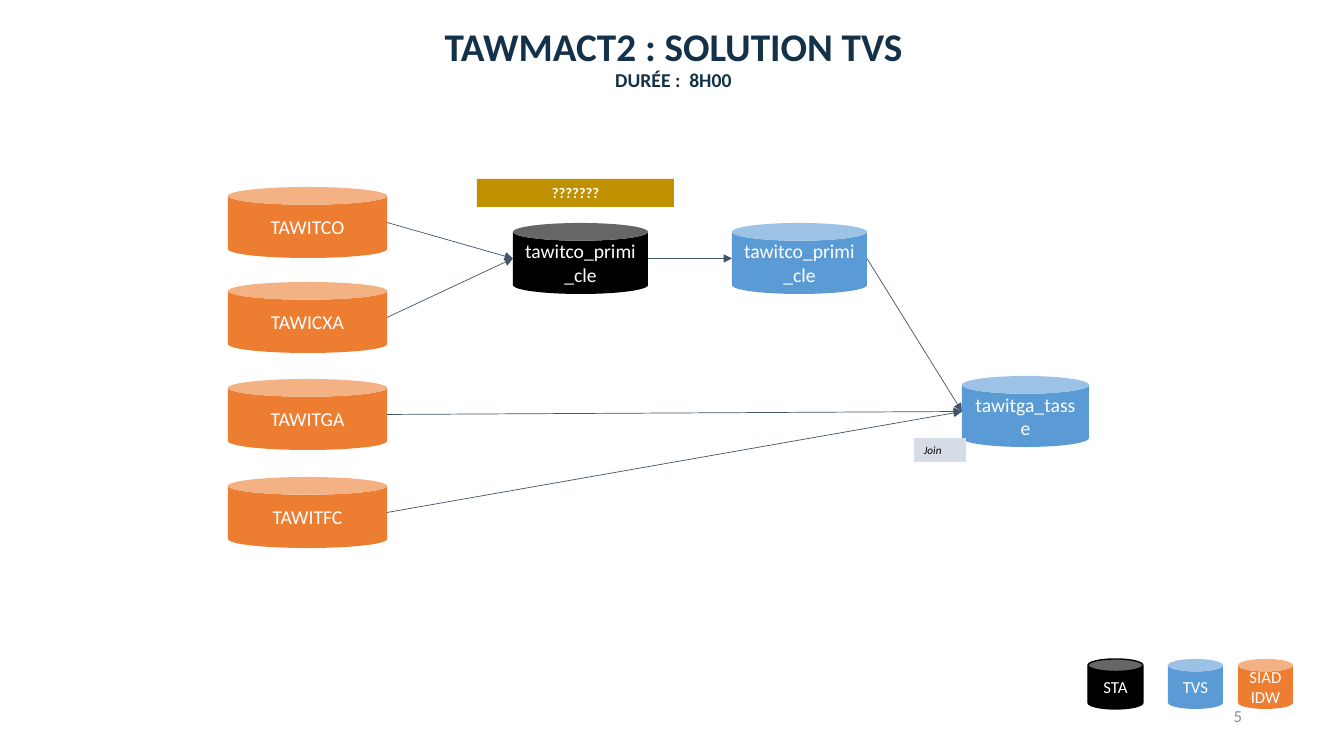
import pptx
import pptx.util
import pptx.dml.color
import pptx.enum.shapes
import pptx.enum.text
import pptx.oxml
import pptx.oxml.ns

Pt = pptx.util.Pt
RGBColor = pptx.dml.color.RGBColor
SHAPES = pptx.enum.shapes.MSO_SHAPE
ALIGN = pptx.enum.text.PP_ALIGN
ANCHOR = pptx.enum.text.MSO_ANCHOR
AUTO_SIZE = pptx.enum.text.MSO_AUTO_SIZE

NAVY = RGBColor(0x13, 0x32, 0x4A)
GREY = RGBColor(0x8C, 0x8C, 0x8C)
SLATE = RGBColor(0x44, 0x54, 0x6A)
ORANGE = RGBColor(0xED, 0x7D, 0x31)
BLUE = RGBColor(0x5B, 0x9B, 0xD5)
GOLD = RGBColor(0xBF, 0x90, 0x00)
PALE = RGBColor(0xD6, 0xDC, 0xE5)
BLACK = RGBColor(0, 0, 0)
WHITE = RGBColor(0xFF, 0xFF, 0xFF)

PX = 12192000 / 1344


def px(*lengths):
    return [round(length * PX) for length in lengths]


def write(frame, text, color, align, anchor=ANCHOR.TOP, **font):
    frame.word_wrap = True
    frame.vertical_anchor = anchor
    frame.text = text
    paragraph = frame.paragraphs[0]
    paragraph.alignment = align
    for run in paragraph.runs:
        run.font.color.rgb = color
        for name, value in {"name": "Calibri", **font}.items():
            setattr(run.font, name, value)


deck = pptx.Presentation()
deck.slide_width, deck.slide_height = px(1344, 756)
slide = deck.slides.add_slide(deck.slide_layouts[5])

heading = slide.shapes.title
heading.left, heading.top, heading.width, heading.height = px(179, 23, 989, 52)
write(heading.text_frame, "TAWMACT2 : SOLUTION TVS\vDURÉE :  8H00", NAVY, ALIGN.CENTER, bold=True)
heading.text_frame.auto_size = AUTO_SIZE.NONE
heading_line = heading.text_frame.paragraphs[0]
heading_line.line_spacing = 0.9
for run, size in zip(heading_line.runs, (28, 14)):
    run.font.size = Pt(size)

page_number = slide.shapes.add_textbox(*px(950, 701, 302, 40))
write(page_number.text_frame, "5", GREY, ALIGN.RIGHT, size=Pt(12))

TABLES = {
    "TAWITCO": ("TAWITCO", 228, 187, 159, ORANGE),
    "TAWICXA": ("TAWICXA", 228, 282, 159, ORANGE),
    "TAWITGA": ("TAWITGA", 228, 379, 159, ORANGE),
    "TAWITFC": ("TAWITFC", 228, 477, 159, ORANGE),
    "extract": ("tawitco_primi_cle", 513, 223, 135, BLACK),
    "load": ("tawitco_primi_cle", 732, 223, 135, BLUE),
    "result": ("tawitga_tasse", 962, 376, 127, BLUE),
}
TABLE_HEIGHT = 71
LEGEND = [("STA", 1088, BLACK), ("TVS", 1168, BLUE), ("SIAD\vIDW", 1238, ORANGE)]

cans = [(text, left, top, width, TABLE_HEIGHT, color, 14) for text, left, top, width, color in TABLES.values()]
cans += [(text, left, 659, 55, 50, color, 12) for text, left, color in LEGEND]
for text, left, top, width, height, color, size in cans:
    can = slide.shapes.add_shape(SHAPES.CAN, *px(left, top, width, height))
    can.shadow.inherit = False
    can.fill.solid()
    can.fill.fore_color.rgb = color
    can.line.fill.background()
    if text == "STA":
        can.line.color.rgb = BLACK
        can.line.width = Pt(1)
    write(can.text_frame, text, WHITE, ALIGN.CENTER, ANCHOR.MIDDLE, size=Pt(size))

FLOWS = [
    ("TAWITCO", "extract"),
    ("TAWICXA", "extract"),
    ("extract", "load"),
    ("load", "result"),
    ("TAWITGA", "result"),
    ("TAWITFC", "result"),
]
for source, target in FLOWS:
    _, source_left, source_top, source_width, _ = TABLES[source]
    _, target_left, target_top, _, _ = TABLES[target]
    flow = slide.shapes.add_connector(
        pptx.enum.shapes.MSO_CONNECTOR.STRAIGHT,
        *px(source_left + source_width, source_top + TABLE_HEIGHT / 2,
            target_left, target_top + TABLE_HEIGHT / 2))
    flow.line.color.rgb = SLATE
    flow.line.width = Pt(0.5)
    arrowhead = pptx.oxml.parse_xml(f'<a:tailEnd {pptx.oxml.ns.nsdecls("a")} type="triangle"/>')
    flow.line._get_or_add_ln().append(arrowhead)
    no_effect = pptx.oxml.parse_xml(f'<a:effectLst {pptx.oxml.ns.nsdecls("a")}/>')
    flow._element.spPr.append(no_effect)

LABELS = [
    ("Join", (914, 438, 52, 24), PALE, BLACK, ALIGN.LEFT, {"size": Pt(8), "italic": True}),
    ("???????", (477, 179, 197, 28), GOLD, WHITE, ALIGN.CENTER, {"size": Pt(10.5), "bold": True}),
]
for text, box, fill, color, align, font in LABELS:
    label = slide.shapes.add_shape(SHAPES.RECTANGLE, *px(*box))
    label.shadow.inherit = False
    label.fill.solid()
    label.fill.fore_color.rgb = fill
    label.line.fill.background()
    write(label.text_frame, text, color, align, **font)
    label.text_frame.auto_size = AUTO_SIZE.SHAPE_TO_FIT_TEXT

deck.save("out.pptx")
